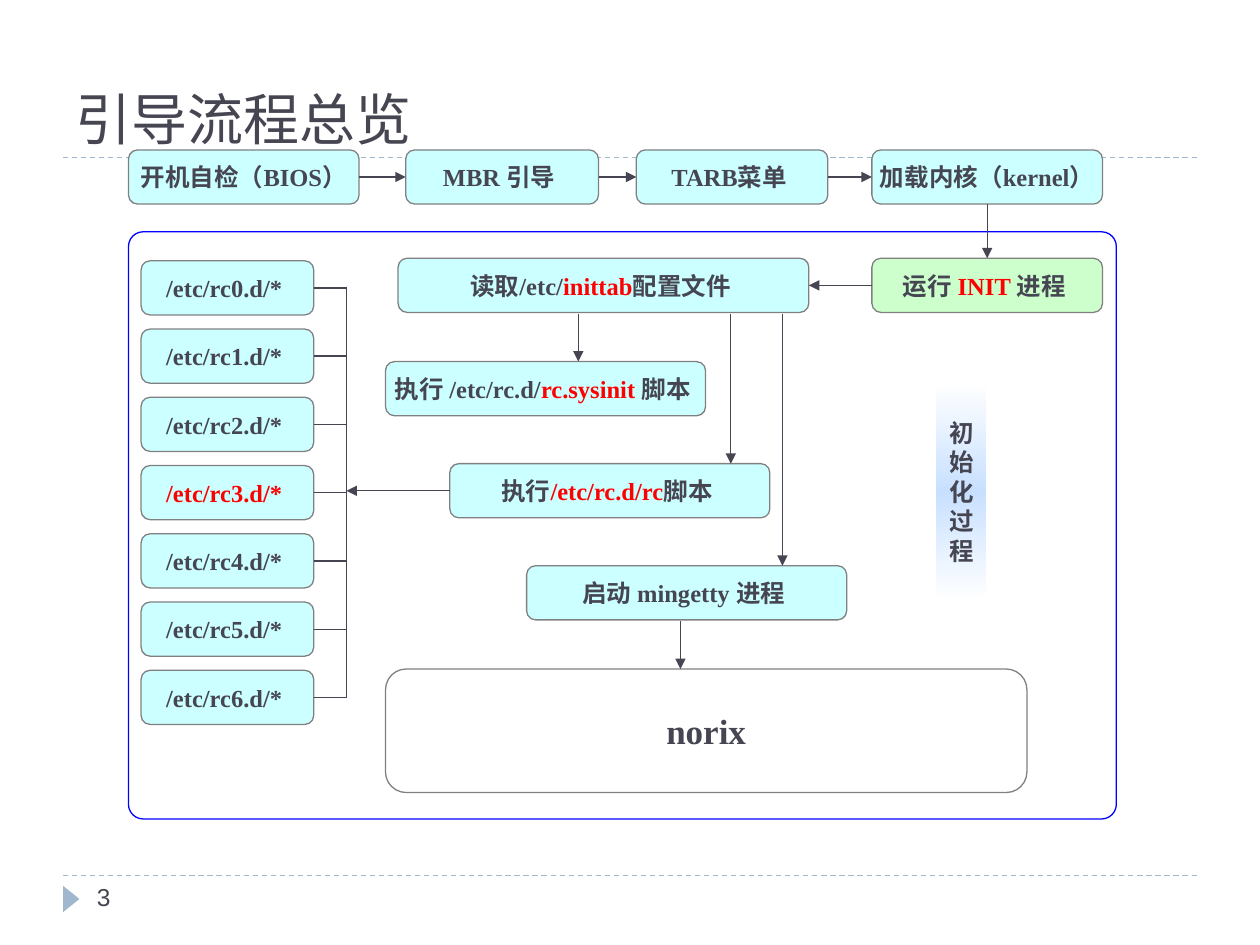
from copy import deepcopy

from lxml import etree
from pptx import Presentation
from pptx.dml.color import RGBColor
from pptx.enum.dml import MSO_LINE
from pptx.enum.shapes import MSO_CONNECTOR, MSO_SHAPE
from pptx.enum.text import MSO_ANCHOR, PP_ALIGN
from pptx.oxml.ns import qn
from pptx.util import Inches, Pt

STRAIGHT = MSO_CONNECTOR.STRAIGHT
PROCESS = MSO_SHAPE.FLOWCHART_ALTERNATE_PROCESS
TOP, LEFT, BOTTOM, RIGHT = range(4)
COLORS = {
    "ink": "464653", "accent": "FF0000", "rule": "9FB8CD", "border": "808080",
    "frame": "0000FF", "step": "CCFFFF", "init": "CCFFCC", "white": "FFFFFF",
    "phase": "C8E0FF",
}
SERIF = "Times New Roman"
STEP_HEIGHT = 0.43


def color(name):
    return RGBColor.from_string(COLORS[name])


def add_runs(paragraph, runs, size, font=SERIF, bold=True):
    """Add (text, colour name) runs to a paragraph."""
    for text, color_name in runs:
        run = paragraph.add_run()
        run.text = text
        run.font.size = Pt(size)
        run.font.name = font
        run.font.bold = bold
        run.font.color.rgb = color(color_name)


def add_label(slide, box, text, size, font, anchor):
    label = slide.shapes.add_textbox(*map(Inches, box))
    label.text_frame.word_wrap = True
    label.text_frame.vertical_anchor = anchor
    add_runs(label.text_frame.paragraphs[0], [(text, "ink")], size, font, False)


def add_outlined(slide, kind, box, line):
    shape = slide.shapes.add_shape(kind, *map(Inches, box))
    shape.shadow.inherit = False
    shape.line.color.rgb = color(line)
    shape.line.width = Pt(0.75)
    return shape


def add_step(slide, box, runs, fill="step", size=14):
    shape = add_outlined(slide, PROCESS, box, "border")
    shape.fill.solid()
    shape.fill.fore_color.rgb = color(fill)
    frame = shape.text_frame
    frame.word_wrap = False
    frame.vertical_anchor = MSO_ANCHOR.MIDDLE
    paragraph = frame.paragraphs[0]
    paragraph.alignment = PP_ALIGN.CENTER
    paragraph.space_before = Pt(size * 0.63)
    add_runs(paragraph, runs, size)
    return shape


def add_line(slide, start, end, begin=None, finish=None, arrow=True, line="ink"):
    """Draw a line; begin and finish are (shape, side) pairs to join."""
    connector = slide.shapes.add_connector(STRAIGHT, *map(Inches, (*start, *end)))
    connector.line.color.rgb = color(line)
    connector.line.width = Pt(0.75)
    if begin:
        connector.begin_connect(*begin)
    if finish:
        connector.end_connect(*finish)
    if arrow:
        etree.SubElement(connector.line._get_or_add_ln(), qn("a:tailEnd"), type="triangle")
    etree.SubElement(connector._element.spPr, qn("a:effectLst"))
    return connector


def add_page_furniture(slide, box):
    left, top, width, height = box
    for y in (top, top + height):
        rule = add_line(slide, (left, y), (left + width, y), arrow=False, line="rule")
        rule.line.dash_style = MSO_LINE.DASH
    marker = add_outlined(slide, MSO_SHAPE.ISOSCELES_TRIANGLE, (0.46, 7.07, 0.21, 0.13), "rule")
    marker.rotation = 90
    marker.fill.solid()
    marker.fill.fore_color.rgb = color("rule")
    marker.line.fill.background()
    add_label(slide, (left, 0.17, width, top - 0.17), "引导流程总览", 32,
              "TeX Gyre Bonum", MSO_ANCHOR.BOTTOM)
    add_label(slide, (0.67, top + height, 2.17, 0.4), "3", 14, "Arial", MSO_ANCHOR.TOP)


def add_boot_row(slide, box):
    """Place the chain of boot stages and return the last one."""
    left, top, _, height = box
    stages = [("开机自检（BIOS）", 0, 1.83), ("MBR 引导 ", 2.2, 1.53),
              ("TARB菜单 ", 4.03, 1.52), ("加载内核（kernel）", 5.9, 1.83)]
    previous = None
    for text, x, stage_width in stages:
        stage = add_step(slide, (left + x, top, stage_width, height), [(text, "ink")])
        if previous:
            add_line(slide, (left, top), (left + x, top), (previous, RIGHT), (stage, LEFT))
        previous = stage
    return previous


def add_runlevels(slide, box, bus_x):
    """Stack the runlevel folders and tie them to a vertical bus line."""
    left, top, width, height = box
    count, current = 7, 3
    pitch = (height - STEP_HEIGHT) / (count - 1)
    centers = [top + STEP_HEIGHT / 2 + level * pitch for level in range(count)]
    for level, center in enumerate(centers):
        folder = add_step(slide, (left, center - STEP_HEIGHT / 2, width, STEP_HEIGHT),
                          [(f"/etc/rc{level}.d/* ", "accent" if level == current else "ink")])
        add_line(slide, (left + width, center), (bus_x, center), (folder, RIGHT), arrow=False)
    add_line(slide, (bus_x, centers[0]), (bus_x, centers[-1]), arrow=False)


def add_phase_label(slide, box, text):
    """Place a vertical label whose colour fades out at both ends."""
    shape = add_outlined(slide, MSO_SHAPE.RECTANGLE, box, "white")
    shape.line.fill.background()
    shape.fill.gradient()
    shape.fill.gradient_angle = 90
    first, last = shape.fill.gradient_stops
    first.color.rgb = color("white")
    last.color.rgb = color("phase")
    last.position = 0.5
    stops = shape._element.spPr.find(qn("a:gradFill")).find(qn("a:gsLst"))
    end_stop = deepcopy(stops[0])
    end_stop.set("pos", "100000")
    stops.append(end_stop)
    frame = shape.text_frame
    frame.word_wrap = False
    frame.vertical_anchor = MSO_ANCHOR.MIDDLE
    for index, character in enumerate(text):
        paragraph = frame.paragraphs[0] if index == 0 else frame.add_paragraph()
        paragraph.alignment = PP_ALIGN.CENTER
        add_runs(paragraph, [(character, "ink")], 14)


def add_init_process(slide, box, kernel):
    left, top, width, height = box
    frame = add_outlined(slide, MSO_SHAPE.ROUNDED_RECTANGLE, box, "frame")
    frame.adjustments[0] = 0.025
    frame.fill.background()

    bus_x = left + 1.73
    add_runlevels(slide, (left + 0.1, top + 0.23, 1.37, 3.68), bus_x)

    def place(x, y, step_width, runs, **style):
        return add_step(slide, (left + x, top + y, step_width, STEP_HEIGHT), runs, **style)

    init = place(5.9, 0.21, 1.83, [("运行 ", "ink"), ("INIT ", "accent"), ("进程 ", "ink")],
                 fill="init")
    inittab = place(2.14, 0.21, 3.26,
                    [("读取/etc/", "ink"), ("inittab", "accent"), ("配置文件 ", "ink")])
    place(2.04, 1.03, 2.54,
          [("执行 /etc/rc.d/", "ink"), ("rc.sysinit ", "accent"), ("脚本 ", "ink")])
    rc = place(2.55, 1.84, 2.54,
               [("执行", "ink"), ("/etc/rc.d/rc", "accent"), ("脚本 ", "ink")])
    place(3.16, 2.65, 2.54, [("启动 mingetty 进程 ", "ink")])
    add_step(slide, (left + 2.04, top + 3.47, 5.09, 0.98), [("norix", "ink")],
             fill="white", size=20)
    add_phase_label(slide, (left + 6.41, top + 1.19, 0.4, 1.74), "初始化过程")

    add_line(slide, (7.84, 1.62), (7.84, 2.05), (kernel, BOTTOM), (init, TOP))
    add_line(slide, (6.92, 2.27), (6.42, 2.27), (init, LEFT), (inittab, RIGHT))
    rc_center = top + 1.84 + STEP_HEIGHT / 2
    add_line(slide, (left + 2.55, rc_center), (bus_x, rc_center), (rc, LEFT))
    for x, start, end in [(3.57, 0.65, 1.03), (4.78, 0.65, 1.84),
                          (5.19, 0.65, 2.65), (4.38, 3.09, 3.47)]:
        add_line(slide, (left + x, top + start), (left + x, top + end))


def main():
    presentation = Presentation()
    presentation.slide_width = Inches(10)
    presentation.slide_height = Inches(7.5)
    slide = presentation.slides.add_slide(presentation.slide_layouts[6])
    add_page_furniture(slide, (0.5, 1.25, 9, 5.7))
    kernel = add_boot_row(slide, (1.02, 1.19, 7.73, STEP_HEIGHT))
    add_init_process(slide, (1.02, 1.84, 7.84, 4.66), kernel)
    presentation.save("out.pptx")


if __name__ == "__main__":
    main()
